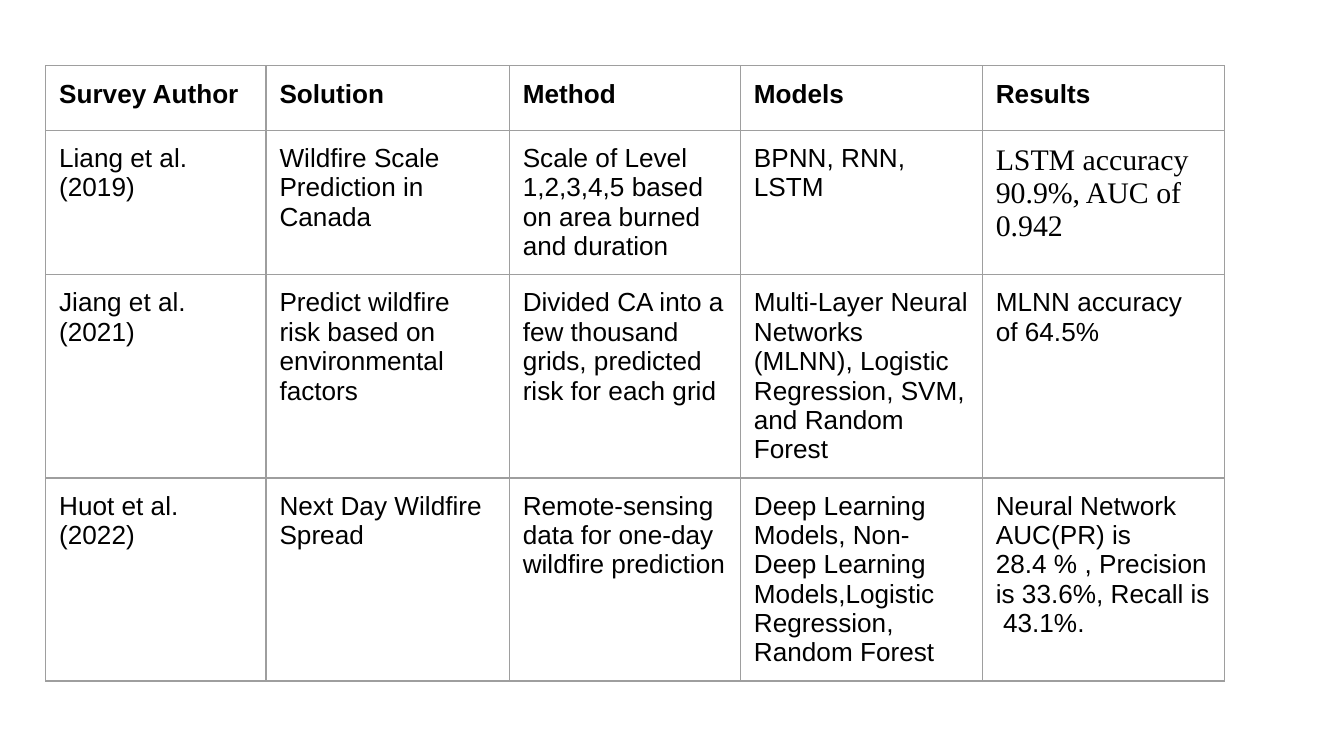
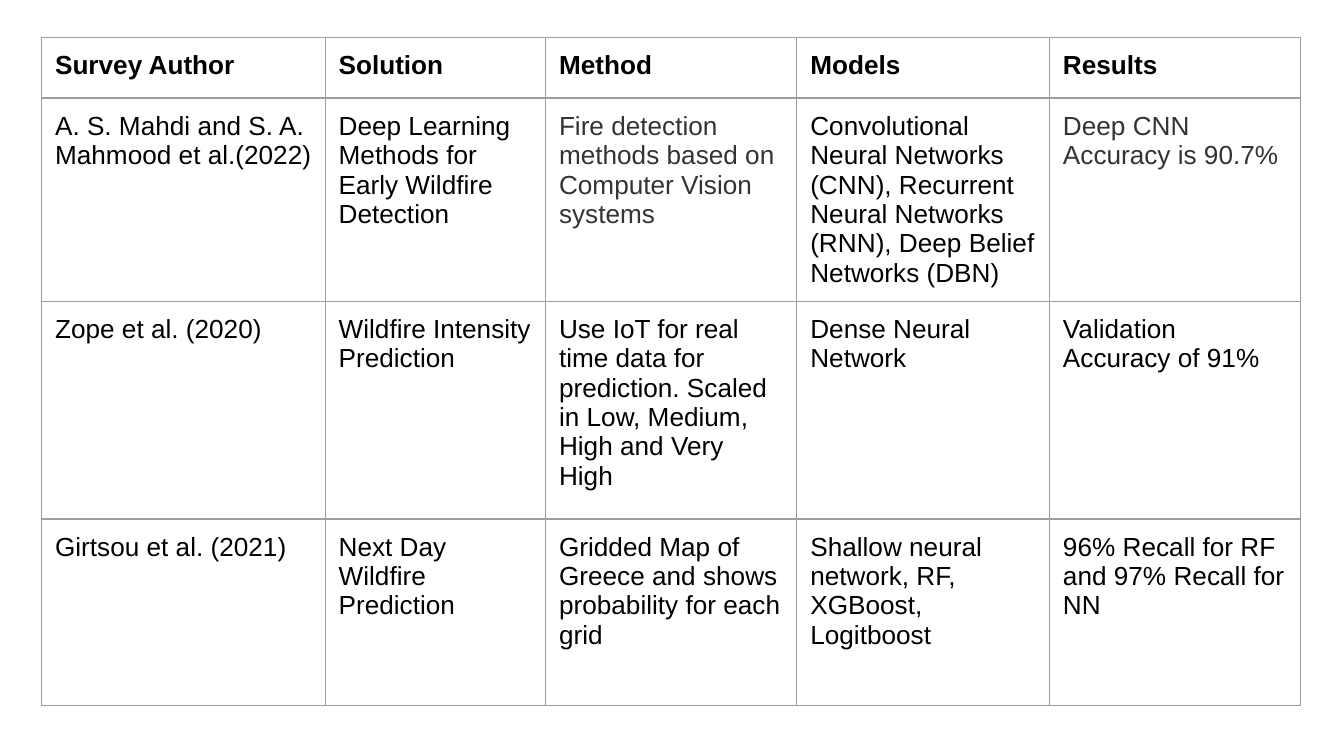
from lxml import etree
from pptx import Presentation
from pptx.dml.color import RGBColor
from pptx.oxml.ns import qn
from pptx.util import Inches, Pt

BLACK = RGBColor(0x00, 0x00, 0x00)
DARK_GRAY = RGBColor(0x33, 0x33, 0x33)
BORDER_GRAY = RGBColor(0x9E, 0x9E, 0x9E)
BODY_FONT = ("Arial", 14, BLACK)
HEADINGS = ["Survey Author", "Solution", "Method", "Models", "Results"]

# Each survey: position, column widths, row heights, studies,
# and the (row, column) cells whose font differs from the body font.
SURVEYS = [
    {
        "left": 0.34, "top": 0.49,
        "widths": [1.64, 1.81, 1.72, 1.8, 1.8],
        "heights": [0.48, 1.07, 1.51, 1.51],
        "studies": [
            ["Liang et al. (2019)",
             "Wildfire Scale Prediction in Canada",
             "Scale of Level 1,2,3,4,5 based on area burned and duration",
             "BPNN, RNN, LSTM",
             "LSTM accuracy 90.9%, AUC of 0.942"],
            ["Jiang et al. (2021)",
             "Predict wildfire risk based on environmental factors",
             "Divided CA into a few thousand grids, predicted risk for each grid",
             "Multi-Layer Neural Networks (MLNN), Logistic Regression, SVM, "
             "and Random Forest",
             "MLNN accuracy of 64.5%"],
            ["Huot et al.(2022)",
             "Next Day Wildfire Spread",
             "Remote-sensing data for one-day wildfire prediction",
             "Deep Learning Models, Non-Deep Learning Models,Logistic Regression,\n"
             "Random Forest",
             "Neural Network AUC(PR) is\n"
             "28.4 % , Precision is 33.6%, Recall is  43.1%."],
        ],
        "fonts": {(1, 4): ("Times New Roman", 16, BLACK)},
        "hanging": [],
    },
    {
        "left": 0.31, "top": 0.28,
        "widths": [2.11, 1.64, 1.87, 1.88, 1.87],
        "heights": [0.45, 1.51, 1.62, 1.39],
        "studies": [
            ["A. S. Mahdi and S. A.\nMahmood et al.(2022)",
             "Deep Learning Methods for Early Wildfire  Detection",
             "Fire detection methods based on Computer Vision systems",
             "Convolutional Neural Networks (CNN), Recurrent Neural Networks "
             "(RNN), Deep Belief Networks (DBN)",
             "Deep CNN Accuracy is 90.7%"],
            ["Zope et al. (2020)",
             "Wildfire Intensity Prediction",
             "Use IoT for real time data for prediction. Scaled in Low, Medium, "
             "High and Very High",
             "Dense Neural Network",
             "Validation Accuracy of 91%"],
            ["Girtsou et al. (2021)",
             "Next Day Wildfire Prediction",
             "Gridded Map of Greece and shows probability for each grid",
             "Shallow neural network, RF, XGBoost, Logitboost",
             "96% Recall for RF and 97% Recall for NN"],
        ],
        "fonts": {(1, 2): ("Arial", 14, DARK_GRAY), (1, 4): ("Arial", 14, DARK_GRAY)},
        "hanging": [(1, 0)],
    },
]


def add_borders(cell):
    properties = cell._tc.get_or_add_tcPr()
    for side in ("lnL", "lnR", "lnT", "lnB"):
        line = etree.SubElement(properties, qn(f"a:{side}"), w=str(Pt(0.75)))
        fill = etree.SubElement(line, qn("a:solidFill"))
        etree.SubElement(fill, qn("a:srgbClr"), val=str(BORDER_GRAY))


def fill_cell(cell, content, font, bold, hanging):
    """Write the content into a bordered, unfilled cell with even margins."""
    cell.margin_left = cell.margin_right = Inches(0.1)
    cell.margin_top = cell.margin_bottom = Inches(0.1)
    add_borders(cell)
    cell.fill.background()
    cell.text_frame.text = content
    name, size, color = font
    for paragraph in cell.text_frame.paragraphs:
        paragraph.font.name = name
        paragraph.font.size = Pt(size)
        paragraph.font.color.rgb = color
        paragraph.font.bold = bold
        if hanging:
            indents = paragraph._p.get_or_add_pPr()
            indents.set("marL", str(Inches(0.5)))
            indents.set("indent", str(Inches(-0.5)))


prs = Presentation()
prs.slide_width = Inches(10)
prs.slide_height = prs.slide_width * 9 // 16
blank_layout = prs.slide_layouts[6]

for survey in SURVEYS:
    slide = prs.slides.add_slide(blank_layout)
    rows = [HEADINGS] + survey["studies"]
    table = slide.shapes.add_table(
        len(rows), len(HEADINGS),
        Inches(survey["left"]), Inches(survey["top"]),
        Inches(sum(survey["widths"])), Inches(sum(survey["heights"])),
    ).table
    table.first_row = False
    table.horz_banding = False
    for column, width in zip(table.columns, survey["widths"]):
        column.width = Inches(width)
    for row, height in zip(table.rows, survey["heights"]):
        row.height = Inches(height)
    for r, contents in enumerate(rows):
        for c, content in enumerate(contents):
            font = survey["fonts"].get((r, c), BODY_FONT)
            fill_cell(table.cell(r, c), content, font, r == 0, (r, c) in survey["hanging"])

prs.save("out.pptx")
